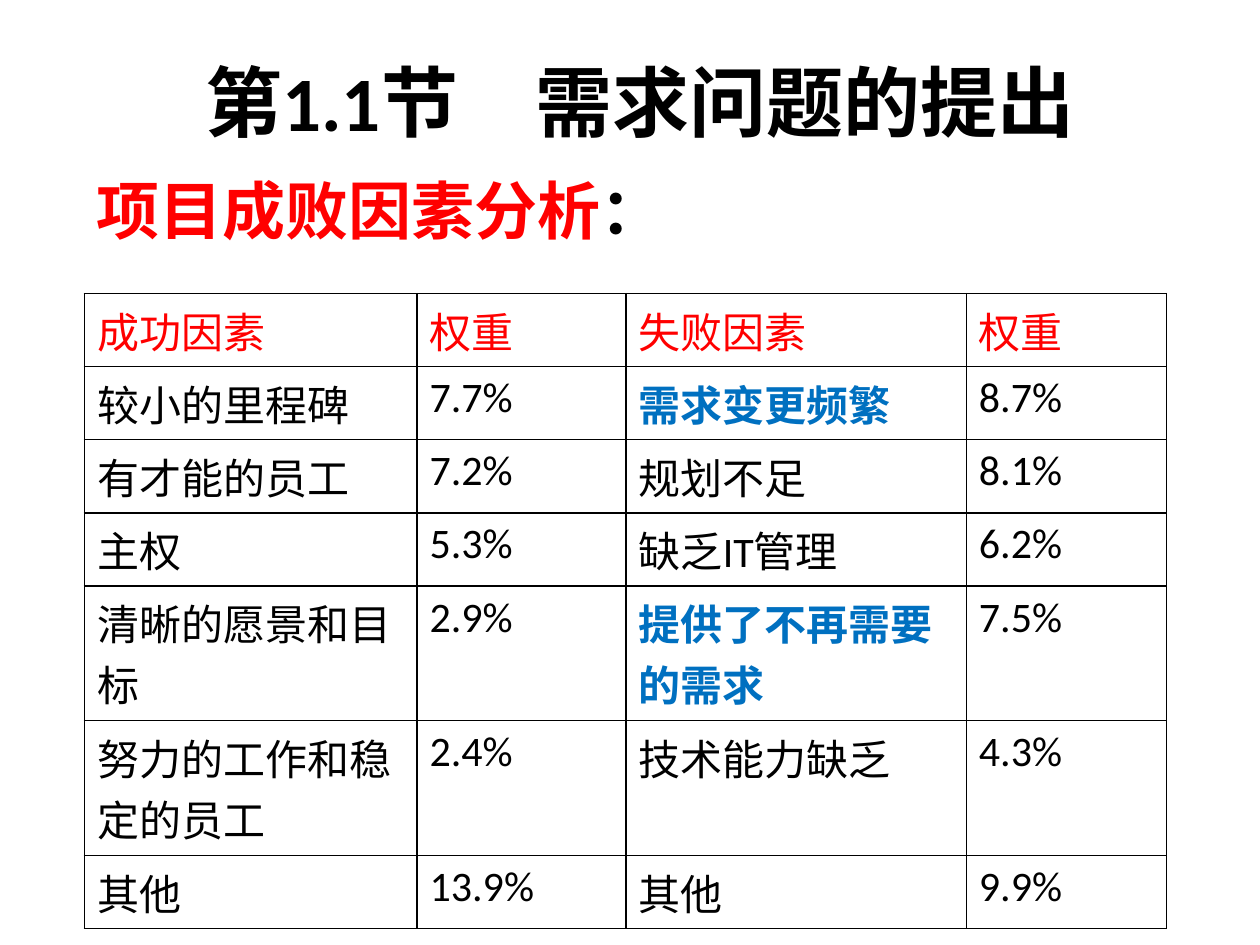
from lxml.etree import SubElement
from pptx import Presentation
from pptx.dml.color import RGBColor
from pptx.enum.text import MSO_ANCHOR, PP_ALIGN
from pptx.oxml.ns import qn
from pptx.util import Inches, Pt

COLORS = {"black": "000000", "red": "FF0000", "blue": "0070C0"}

FACTORS = [
    ("成功因素", "权重", "失败因素", "权重"),
    ("较小的里程碑", "7.7%", "需求变更频繁", "8.7%"),
    ("有才能的员工", "7.2%", "规划不足", "8.1%"),
    ("主权", "5.3%", "缺乏IT管理", "6.2%"),
    ("清晰的愿景和目标", "2.9%", "提供了不再需要的需求", "7.5%"),
    ("努力的工作和稳定的员工", "2.4%", "技术能力缺乏", "4.3%"),
    ("其他", "13.9%", "其他", "9.9%"),
]
DEMAND_FACTORS = {"需求变更频繁", "提供了不再需要的需求"}
ONE_LINE, TWO_LINES = 0.58, 1.07
ROW_HEIGHTS = [ONE_LINE] * 4 + [TWO_LINES] * 2 + [ONE_LINE]


class SlideBuilder:
    """Holds the style and the current slide."""

    font = "Calibri"

    def __init__(self, slide):
        """Start building on a slide."""
        self.slide = slide

    def add_run(self, paragraph, text, size, color="black", bold=False):
        """Add one formatted run to a paragraph."""
        run = paragraph.add_run()
        run.text = text
        run.font.name = self.font
        run.font.size = Pt(size)
        run.font.bold = bold
        run.font.color.rgb = RGBColor.from_string(COLORS[color])

    def title(self, text, left, top, width, height):
        """Place and fill the title placeholder."""
        shape = self.slide.shapes.title
        shape.left, shape.top = Inches(left), Inches(top)
        shape.width, shape.height = Inches(width), Inches(height)
        shape.text_frame.vertical_anchor = MSO_ANCHOR.MIDDLE
        paragraph = shape.text_frame.paragraphs[0]
        paragraph.alignment = PP_ALIGN.CENTER
        self.add_run(paragraph, text, 44, bold=True)

    def heading(self, parts, left, top, width, height):
        """Add a bold heading made of (text, color) parts."""
        shape = self.slide.shapes.add_textbox(
            Inches(left), Inches(top), Inches(width), Inches(height))
        shape.text_frame.word_wrap = True
        paragraph = shape.text_frame.paragraphs[0]
        for text, color in parts:
            self.add_run(paragraph, text, 36, color, bold=True)

    def border(self, cell):
        """Draw a thin black line on all four sides of a cell."""
        properties = cell._tc.get_or_add_tcPr()
        for position, side in enumerate(("lnL", "lnR", "lnT", "lnB")):
            line = SubElement(properties, qn(f"a:{side}"), w=str(Pt(1)))
            fill = SubElement(line, qn("a:solidFill"))
            SubElement(fill, qn("a:srgbClr"), val=COLORS["black"])
            properties.insert(position, line)

    def table(self, rows, left, top, column_widths, row_heights):
        """Add a plain ruled table with a red header row."""
        table = self.slide.shapes.add_table(
            len(rows), len(column_widths), Inches(left), Inches(top),
            Inches(sum(column_widths)), Inches(sum(row_heights))).table
        table.first_row = table.horz_banding = False
        for column, width in zip(table.columns, column_widths):
            column.width = Inches(width)
        for row, height in zip(table.rows, row_heights):
            row.height = Inches(height)
        for row_index, texts in enumerate(rows):
            for column_index, text in enumerate(texts):
                cell = table.cell(row_index, column_index)
                cell.fill.background()
                self.border(cell)
                highlighted = text in DEMAND_FACTORS
                color = "red" if row_index == 0 else "blue" if highlighted else "black"
                self.add_run(cell.text_frame.paragraphs[0], text, 24, color, highlighted)


def main():
    """Build and save the presentation."""
    presentation = Presentation()
    presentation.slide_width = Inches(10)
    presentation.slide_height = Inches(7.5)
    slide = presentation.slides.add_slide(presentation.slide_layouts.get_by_name("Title Only"))
    builder = SlideBuilder(slide)
    builder.title("第1.1节\u3000需求问题的提出", 0.83, 0.29, 8.5, 1.02)
    builder.heading([("项目成败因素分析", "red"), ("：", "black")], 0.67, 1.31, 8.66, 0.79)
    builder.table(FACTORS, 0.67, 2.33, (2.64, 1.66, 2.7, 1.59), ROW_HEIGHTS)
    presentation.save("out.pptx")


main()
